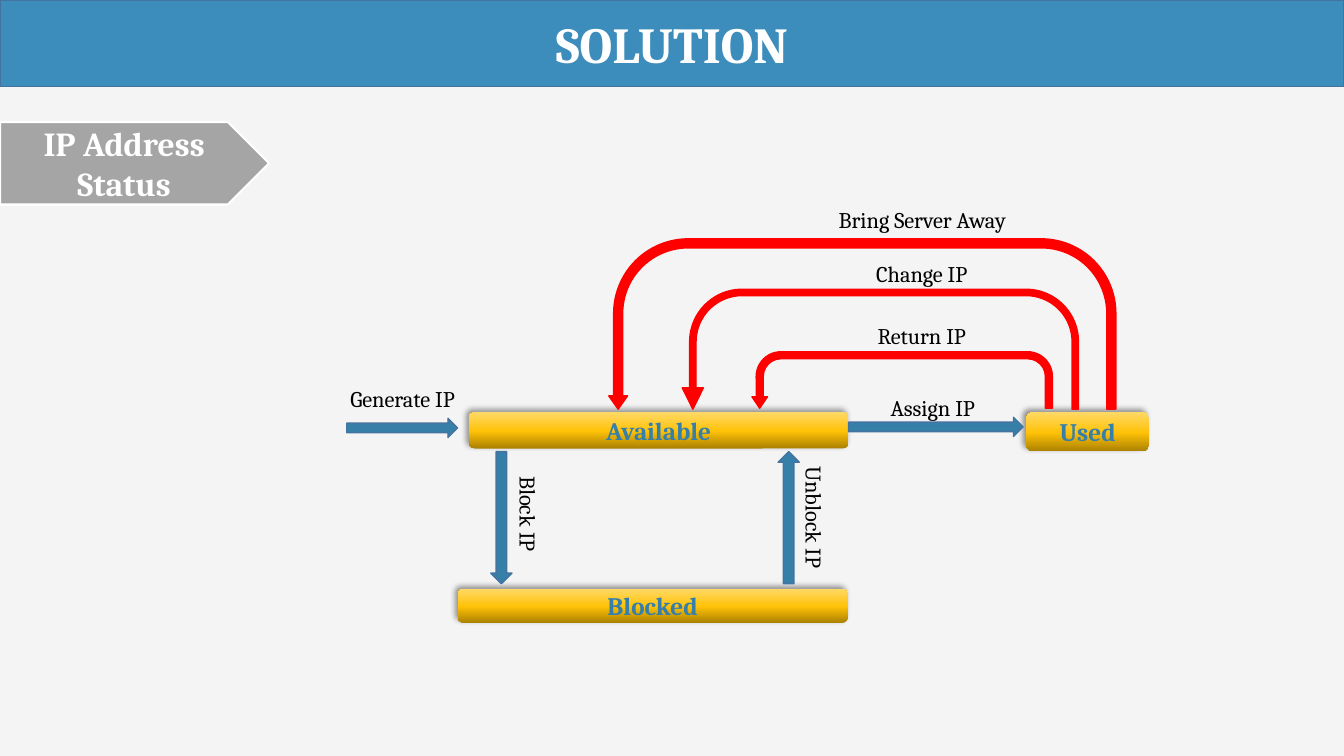
from copy import deepcopy
from dataclasses import dataclass

from lxml import etree
from pptx import Presentation
from pptx.dml.color import RGBColor
from pptx.enum.shapes import MSO_SHAPE
from pptx.enum.text import MSO_ANCHOR, PP_ALIGN
from pptx.oxml.ns import qn
from pptx.util import Pt

RECT, PLATE = MSO_SHAPE.RECTANGLE, MSO_SHAPE.PENTAGON
ROUNDED = MSO_SHAPE.ROUNDED_RECTANGLE
ARROW, UTURN = MSO_SHAPE.RIGHT_ARROW, MSO_SHAPE.U_TURN_ARROW
CENTER, MIDDLE, TOP = PP_ALIGN.CENTER, MSO_ANCHOR.MIDDLE, MSO_ANCHOR.TOP

COLORS = {
    "background": "F4F4F4", "banner": "3C8DBC", "edge": "43739E",
    "gray": "A5A5A5", "white": "FFFFFF", "black": "000000",
    "blue": "367FA9", "red": "FF0000",
    "gold_dark": "AB8100", "gold": "FFC208", "gold_light": "FFD966",
}
GOLD_STOPS = [(0, "gold_dark"), (0.48, "gold"), (1, "gold_light")]
FONT = "Cambria"
TITLE = {"size": Pt(36), "bold": True}
HEADING = {"size": Pt(24), "bold": True}
STATUS = {"size": Pt(18), "bold": True}
LABEL = {"size": Pt(16)}


@dataclass
class Box:
    left: float
    top: float
    width: float
    height: float


@dataclass
class State:
    text: str
    box: Box


@dataclass
class Arrow:
    box: Box
    rotation: int = 0


@dataclass
class ReturnArrow:
    box: Box
    shaft: float
    head_width: float
    head_length: float


@dataclass
class Label:
    text: str
    left: float
    top: float
    width: float = 120.2
    rotation: int = 0


STATES = [
    State("Available", Box(334.8, 294.5, 271.4, 25.9)),
    State("Used", Box(733, 294.5, 87.8, 28)),
    State("Blocked", Box(326.9, 420.5, 278.6, 24.5)),
]
ARROWS = [
    Arrow(Box(247.7, 298.8, 79.2, 13.7)),
    Arrow(Box(606.2, 298.1, 124.6, 13.7)),
    Arrow(Box(311, 362.2, 94.3, 15.1), 90),
    Arrow(Box(516.2, 362.2, 94.3, 15.1), 270),
]
RETURN_ARROWS = [
    ReturnArrow(Box(537.1, 251.3, 214.6, 40.3), 0.124, 0.138, 0.203),
    ReturnArrow(Box(487.4, 206.6, 283, 85.7), 0.053, 0.088, 0.178),
    ReturnArrow(Box(434.9, 170.6, 362.2, 121.7), 0.053, 0.055, 0.078),
]
LABELS = [
    Label("Generate IP", 227.5, 273.6),
    Label("Assign IP", 606.2, 280.1),
    Label("Return IP", 598.3, 229),
    Label("Change IP", 598.3, 184.3),
    Label("Bring Server Away", 574.6, 146.2, width=168.5),
    Label("Block IP", 315.4, 354.2, rotation=90),
    Label("Unblock IP", 519.8, 356.4, rotation=90),
]


def rgb(name: str) -> RGBColor:
    return RGBColor.from_string(COLORS[name])


def frame(box: Box) -> list:
    return [Pt(v) for v in (box.left, box.top, box.width, box.height)]


def write(sp, text: str, color: str, fmt: dict, anchor=MIDDLE):
    tf = sp.text_frame
    tf.word_wrap = True
    tf.vertical_anchor = anchor
    p = tf.paragraphs[0]
    p.alignment = CENTER
    r = p.add_run()
    r.text = text
    for name, value in {"name": FONT, **fmt}.items():
        setattr(r.font, name, value)
    r.font.color.rgb = rgb(color)
    return p


def add_solid(slide, kind, box: Box, fill: str, edge: str, weight: float = 1):
    sp = slide.shapes.add_shape(kind, *frame(box))
    sp.shadow.inherit = False
    sp.fill.solid()
    sp.fill.fore_color.rgb = rgb(fill)
    sp.line.color.rgb = rgb(edge)
    sp.line.width = Pt(weight)
    return sp


def add_state(slide, state: State) -> None:
    sp = slide.shapes.add_shape(ROUNDED, *frame(state.box))
    sp.line.fill.background()
    # Upward gold gradient with a middle stop
    sp.fill.gradient()
    sp.fill.gradient_angle = 90
    stops = sp.element.spPr.find(qn("a:gradFill")).find(qn("a:gsLst"))
    stops.insert(1, deepcopy(stops[0]))
    for stop, (position, color) in zip(sp.fill.gradient_stops, GOLD_STOPS):
        stop.position = position
        stop.color.rgb = rgb(color)
    # Soft shadow toward the upper left
    sp.shadow.inherit = False
    effects = sp.element.spPr.find(qn("a:effectLst"))
    shadow = etree.SubElement(effects, qn("a:outerShdw"), blurRad=str(Pt(4)),
                              dist=str(Pt(3)), dir=str(225 * 60000))
    tint = etree.SubElement(shadow, qn("a:srgbClr"), val=COLORS["black"])
    etree.SubElement(tint, qn("a:alpha"), val="40000")
    write(sp, state.text, "blue", STATUS)


def add_arrow(slide, arrow: Arrow) -> None:
    sp = add_solid(slide, ARROW, arrow.box, "blue", "edge")
    sp.rotation = arrow.rotation


def add_return_arrow(slide, arrow: ReturnArrow) -> None:
    sp = add_solid(slide, UTURN, arrow.box, "red", "red")
    sp.element.spPr.find(qn("a:xfrm")).set("flipH", "1")
    values = (arrow.shaft, arrow.head_width, arrow.head_length, 0.438, 1)
    for i, value in enumerate(values):
        sp.adjustments[i] = value


def add_label(slide, label: Label) -> None:
    box = Box(label.left, label.top, label.width, 25.9)
    sp = slide.shapes.add_textbox(*frame(box))
    sp.rotation = label.rotation
    p = write(sp, label.text, "black", LABEL, TOP)
    p.line_spacing = 0.9


def main() -> None:
    prs = Presentation()
    prs.slide_width, prs.slide_height = Pt(960), Pt(540)
    slide = prs.slides.add_slide(prs.slide_layouts[6])
    slide.background.fill.solid()
    slide.background.fill.fore_color.rgb = rgb("background")

    # Title banner and section tag
    banner = add_solid(slide, RECT, Box(0, 0, 960, 62), "banner", "edge")
    write(banner, "SOLUTION", "white", TITLE)
    tag = add_solid(slide, PLATE, Box(0, 87.1, 192.2, 59), "gray", "white", 1.5)
    write(tag, "IP Address Status", "white", HEADING)

    # State diagram
    for state in STATES:
        add_state(slide, state)
    for arrow in ARROWS:
        add_arrow(slide, arrow)
    for return_arrow in RETURN_ARROWS:
        add_return_arrow(slide, return_arrow)
    for label in LABELS:
        add_label(slide, label)

    prs.save("out.pptx")


if __name__ == "__main__":
    main()
